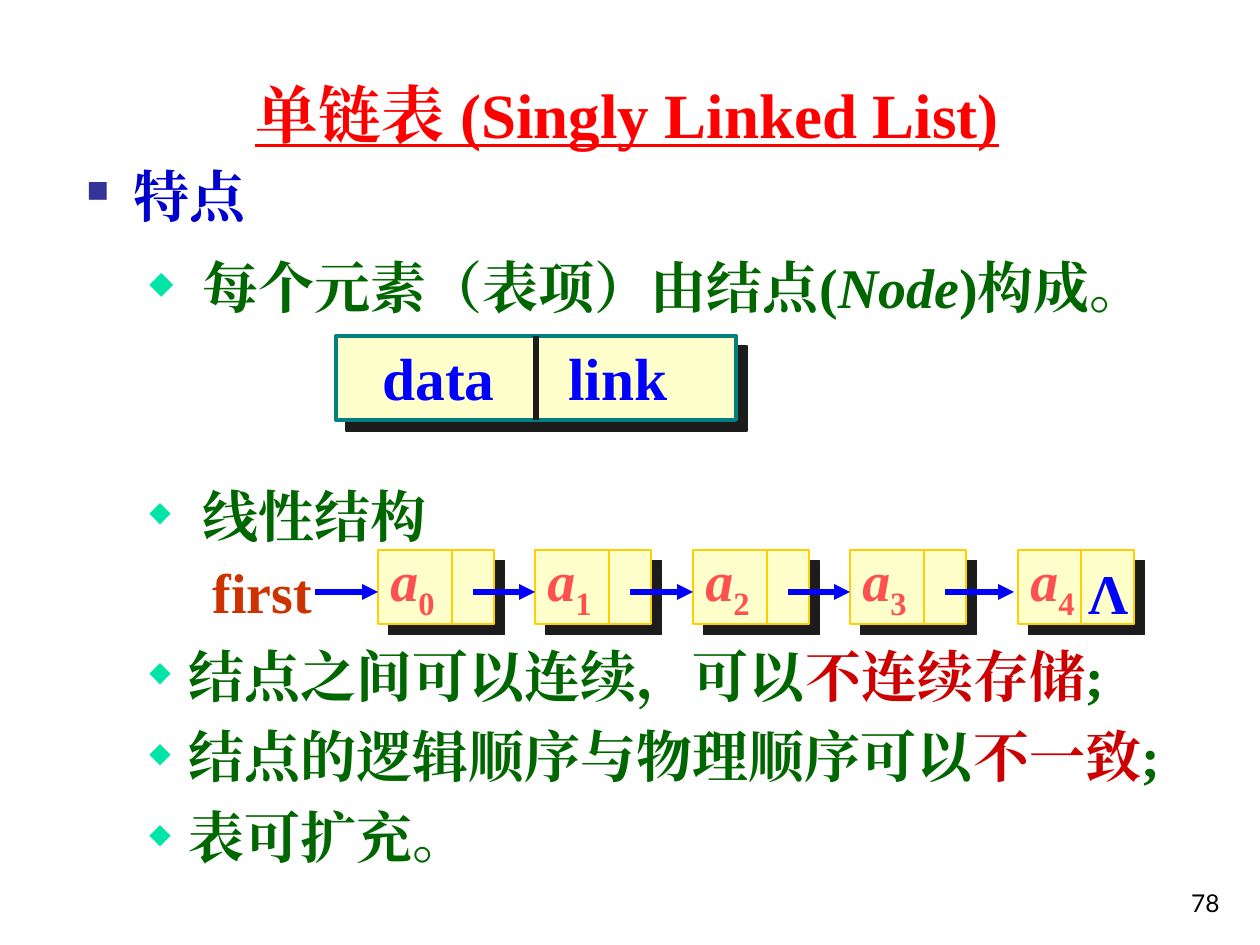
from dataclasses import dataclass

from pptx import Presentation
from pptx.dml.color import RGBColor
from pptx.enum.shapes import MSO_CONNECTOR, MSO_SHAPE
from pptx.enum.text import MSO_ANCHOR, PP_ALIGN
from pptx.oxml import parse_xml
from pptx.oxml.ns import nsdecls
from pptx.util import Pt

SERIF = "Times New Roman"
GREEN, RED, BLUE = "006600", "CC0000", "0000FF"
CREAM, GOLD, DARK = "FFFFCC", "FFCF01", "1C1C1C"
TOP, HIGH, WIDE, REACH = 550, 74, 116, 63


@dataclass
class Run:
    text: str
    color: str = GREEN
    italic: bool = False
    sub: bool = False


@dataclass
class Bullet:
    mark: str
    color: str
    size: int
    left: int
    hang: int


@dataclass
class Para:
    runs: list[Run]
    before: float = 0
    bullet: Bullet | None = None
    tab: int = 0


@dataclass
class Node:
    left: int
    split: int = 74
    gap: int = 0


def px(n: int) -> int:
    """Turn px into EMU."""
    return round(n * 914400 / 126)


def rgb(code: str) -> RGBColor:
    """Turn a hex string into a colour."""
    return RGBColor.from_string(code)


def text(slide, box: tuple, paras: list[Para], *, size=32, font=SERIF, bold=True,
         under=False, wrap=False, anchor=MSO_ANCHOR.TOP, align=PP_ALIGN.LEFT):
    """Add a text box holding formatted paragraphs."""
    frame = slide.shapes.add_textbox(*map(px, box)).text_frame
    frame.word_wrap = wrap
    frame.vertical_anchor = anchor
    for i, para in enumerate(paras):
        line = frame.paragraphs[0] if i == 0 else frame.add_paragraph()
        line.alignment = align
        line.space_before = Pt(para.before)
        props = line._p.get_or_add_pPr()
        if para.bullet:
            mark = para.bullet
            props.set("marL", str(px(mark.left)))
            props.set("indent", str(-px(mark.hang)))
            for xml in (
                f'<a:buClr {nsdecls("a")}><a:srgbClr val="{mark.color}"/></a:buClr>',
                f'<a:buSzPct {nsdecls("a")} val="{mark.size * 1000}"/>',
                f'<a:buChar {nsdecls("a")} char="{mark.mark}"/>',
            ):
                props.append(parse_xml(xml))
        if para.tab:
            props.append(parse_xml(
                f'<a:tabLst {nsdecls("a")}><a:tab pos="{px(para.tab)}" algn="l"/></a:tabLst>'))
        for part in para.runs:
            run = line.add_run()
            run.text = part.text
            face = run.font
            face.size, face.name, face.bold = Pt(size), font, bold
            face.italic, face.underline = part.italic, under
            face.color.rgb = rgb(part.color)
            rpr = run._r.get_or_add_rPr()
            rpr.append(parse_xml(f'<a:ea {nsdecls("a")} typeface="{font}"/>'))
            if part.sub:
                rpr.set("baseline", "-25000")


def block(slide, box: tuple, edge: str, width: float):
    """Add a cream rectangle with a solid offset shadow."""
    shape = slide.shapes.add_shape(MSO_SHAPE.RECTANGLE, *map(px, box))
    shape.shadow.inherit = False
    shape.fill.solid()
    shape.fill.fore_color.rgb = rgb(CREAM)
    shape.line.color.rgb = rgb(edge)
    shape.line.width = Pt(width)
    shape._element.spPr.find("{*}effectLst").append(parse_xml(
        f'<a:outerShdw {nsdecls("a")} dist="{Pt(8.5)}" dir="2700000" algn="ctr" '
        f'rotWithShape="0"><a:srgbClr val="{DARK}"/></a:outerShdw>'))
    return shape


def rule(slide, ends: tuple, color: str, width: float, arrow: bool = False):
    """Add a straight line, with an arrowhead if asked."""
    line = slide.shapes.add_connector(MSO_CONNECTOR.STRAIGHT, *map(px, ends))
    line.line.color.rgb = rgb(color)
    line.line.width = Pt(width)
    if arrow:
        line.line._get_or_add_ln().append(
            parse_xml(f'<a:tailEnd {nsdecls("a")} type="triangle"/>'))
    line._element.spPr.append(parse_xml(f'<a:effectLst {nsdecls("a")}/>'))
    return line


def body(slide) -> None:
    """Add the bulleted points."""
    square = Bullet("■", "333399", 55, 47, 47)
    gem = Bullet("◆", "00E4A8", 50, 102, 39)
    deep = Bullet("◆", "00E4A8", 50, 116, 53)
    big = Bullet("◆", "00E4A8", 56, 116, 53)
    text(slide, (74, 155, 1155, 703), [
        Para([Run("特点", "0000CC")], 0, square),
        Para([Run("每个元素（表项）由结点("), Run("Node", italic=True),
              Run(")构成。")], 14, big),
        Para([Run("线性结构")], 92, deep),
        Para([Run("结点之间可以连续，可以"), Run("不连续存储", RED), Run(";")], 53, gem),
        Para([Run("结点的逻辑顺序与物理顺序可以"), Run("不一致", RED), Run(";")], 7.8, gem),
        Para([Run("表可扩充。")], 7.8, gem),
    ], wrap=True)


def record(slide) -> None:
    """Add the two-field node."""
    cell = block(slide, (336, 336, 400, 84), "008080", 2.25)
    text(slide, (370, 335, 340, 84), [Para([Run("data\tlink", BLUE)], tab=186)],
         size=34, wrap=True)
    bar = rule(slide, (536, 336, 536, 420), DARK, 3)
    bar.begin_connect(cell, 0)
    bar.end_connect(cell, 2)


def chain(slide) -> None:
    """Add the linked list."""
    nodes = [Node(378), Node(535), Node(693), Node(850), Node(1018, 63, 4)]
    start = nodes[0].left - REACH
    for node in nodes:
        block(slide, (node.left, TOP, WIDE, HIGH), GOLD, 0.75)
        mid = node.left + node.split
        rule(slide, (mid, TOP, mid, TOP + HIGH), GOLD, 0.75)
        rule(slide, (start, 592, node.left - node.gap, 592), BLUE, 3, True)
        start = node.left + 95
    for i, node in enumerate(nodes):
        text(slide, (node.left, 539, 72, 81),
             [Para([Run("a", "FF5050", italic=True), Run(str(i), "FF5050", sub=True)])])
    text(slide, (1076, 552, 66, 81), [Para([Run("Λ", BLUE)])])
    text(slide, (200, 551, 125, 79), [Para([Run("first", "CC3300")])])


def main() -> None:
    """Build and save the slide."""
    deck = Presentation()
    deck.slide_width, deck.slide_height = px(1260), px(945)
    slide = deck.slides.add_slide(deck.slide_layouts[6])
    text(slide, (970, 861, 262, 63), [Para([Run("78", "000000")])], size=14, font="Lato",
         bold=False, wrap=True, anchor=MSO_ANCHOR.BOTTOM, align=PP_ALIGN.RIGHT)
    text(slide, (243, 66, 784, 95), [Para([Run("单链表 (Singly Linked List)", "FF0000")])],
         size=36, under=True, anchor=MSO_ANCHOR.MIDDLE)
    body(slide)
    record(slide)
    chain(slide)
    deck.save("out.pptx")


if __name__ == "__main__":
    main()
